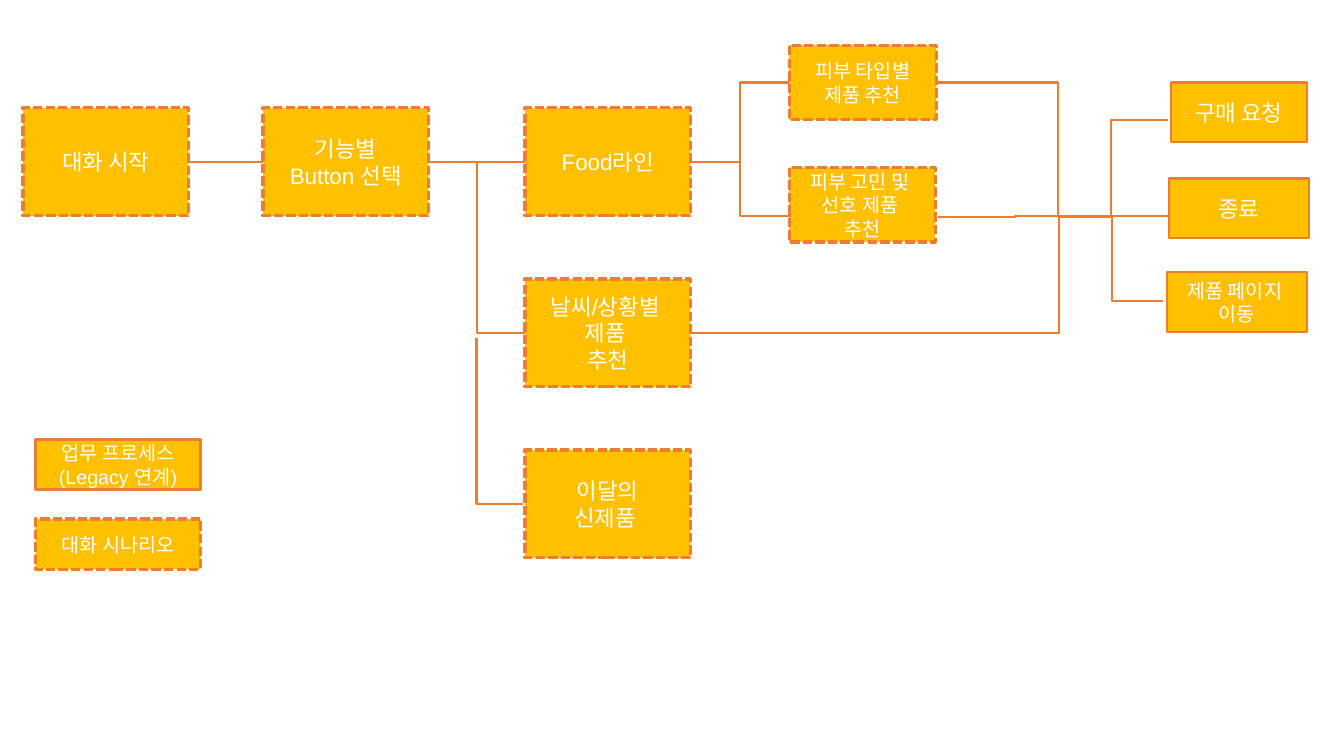
from typing import NamedTuple

from lxml.etree import SubElement
from pptx import Presentation
from pptx.dml.color import RGBColor
from pptx.enum.dml import MSO_LINE
from pptx.enum.shapes import MSO_CONNECTOR as CXN, MSO_SHAPE
from pptx.enum.text import MSO_ANCHOR, PP_ALIGN
from pptx.oxml.ns import qn
from pptx.util import Cm, Pt

FILL, LINE, WHITE = "FFC000", "ED7D31", "FFFFFF"
LATIN, HANGUL = "Arial", "Noto Sans CJK KR"
TOP, ROW_STEP = 2.72, 4.31  # rows of the large scenario boxes
BUS_Y = 5.44  # height at which the branches meet
LEFT, RIGHT = 1, 3  # connection sites


class Box(NamedTuple):
    lines: list[str]
    x: float
    y: float
    w: float = 4.17
    h: float = 2.72
    size: int = 16
    dashed: bool = True
    weight: float = 2.25


class Link(NamedTuple):
    """A line between box names or points; bend is the turning share, None if straight."""
    start: str | tuple[float, float]
    end: str | tuple[float, float]
    bend: float | None = None


BOXES = {
    "start": Box(["대화 시작"], 0.58, TOP),
    "select": Box(["기능별", "Button 선택"], 6.63, TOP),
    "food": Box(["Food라인"], 13.23, TOP),
    "weather": Box(["날씨/상황별 ", "제품 ", "추천"], 13.23, TOP + ROW_STEP),
    "new": Box(["이달의", "신제품 "], 13.23, TOP + 2 * ROW_STEP),
    "skin type": Box(["피부 타입별 제품 추천"], 19.89, 1.14, 3.71, 1.88, 14),
    "skin concern": Box(["피부 고민 및 ", "선호 제품 ", "추천"], 19.89, 4.22, 3.68, 1.88, 14),
    "buy": Box(["구매 요청"], 29.51, 2.08, 3.43, 1.5, 16, False, 1.5),
    "finish": Box(["종료"], 29.46, 4.5, 3.53, 1.5, 16, False, 1.5),
    "page": Box(["제품 페이지 ", "이동"], 29.41, 6.86, 3.53, 1.5, 14, False, 1.5),
    "process key": Box(["업무 프로세스", "(Legacy 연계)"], 0.89, 11.07, h=1.27, size=14, dashed=False),
    "scenario key": Box(["대화 시나리오"], 0.89, 13.08, h=1.27, size=14),
}

LINKS = [
    Link("start", "select"),
    Link("select", "weather", 0.5),
    Link((11.81, 4.08), "food"),
    Link("food", "skin type", 0.5),
    Link((18.64, 4.08), (19.94, BUS_Y), 0),
    Link("skin type", (27.89, BUS_Y), 0.713),
    Link("weather", (27.89, BUS_Y), 0.885),
    Link((23.65, 5.46), (27.53, BUS_Y), 0.5),
    Link((26.57, BUS_Y), (29.44, 3.02), 0.5),
    Link((27.53, BUS_Y), (29.44, BUS_Y)),
    Link((26.72, 5.46), (29.31, 7.59), 0.5),
    Link((12.01, 8.53), (13.18, 12.7), 0),
]


def rgb(value: str) -> RGBColor:
    return RGBColor.from_string(value)


def add_box(slide, box: Box):
    sp = slide.shapes.add_shape(MSO_SHAPE.RECTANGLE, Cm(box.x), Cm(box.y), Cm(box.w), Cm(box.h))
    sp.shadow.inherit = False
    sp.fill.solid()
    sp.fill.fore_color.rgb = rgb(FILL)
    sp.line.color.rgb = rgb(LINE)
    sp.line.width = Pt(box.weight)
    if box.dashed:
        sp.line.dash_style = MSO_LINE.SQUARE_DOT
    tf = sp.text_frame
    tf.word_wrap = True
    tf.vertical_anchor = MSO_ANCHOR.MIDDLE
    for i, line in enumerate(box.lines):
        p = tf.add_paragraph() if i else tf.paragraphs[0]
        p.text = line
        p.alignment = PP_ALIGN.CENTER
        p.font.size = Pt(box.size)
        p.font.color.rgb = rgb(WHITE)
        p.font.name = LATIN
        SubElement(p._p.pPr.find(qn("a:defRPr")), qn("a:ea"), typeface=HANGUL)
    return sp


def locate(end: str | tuple[float, float], site: int) -> tuple[float, float]:
    """Return a point as it is, or the middle of a named box's side."""
    if not isinstance(end, str):
        return end
    box = BOXES[end]
    return box.x + (box.w if site == RIGHT else 0), box.y + box.h / 2


def add_link(slide, link: Link, shapes: dict) -> None:
    kind = CXN.STRAIGHT if link.bend is None else CXN.ELBOW
    ends = (*locate(link.start, RIGHT), *locate(link.end, LEFT))
    cxn = slide.shapes.add_connector(kind, *map(Cm, ends))
    if isinstance(link.start, str):
        cxn.begin_connect(shapes[link.start], RIGHT)
    if isinstance(link.end, str):
        cxn.end_connect(shapes[link.end], LEFT)
    cxn.line.color.rgb = rgb(LINE)
    cxn.line.width = Pt(1.5)
    sp_pr = cxn._element.spPr
    SubElement(sp_pr, qn("a:effectLst"))
    if link.bend is not None:
        guides = sp_pr.find(qn("a:prstGeom")).get_or_add_avLst()
        SubElement(guides, qn("a:gd"), name="adj1", fmla=f"val {round(link.bend * 100000)}")


def main() -> None:
    prs = Presentation()
    prs.slide_width, prs.slide_height = Cm(33.87), Cm(19.05)
    slide = prs.slides.add_slide(prs.slide_layouts[6])
    shapes = {name: add_box(slide, box) for name, box in BOXES.items()}
    for link in LINKS:
        add_link(slide, link, shapes)
    prs.save("out.pptx")


if __name__ == "__main__":
    main()
